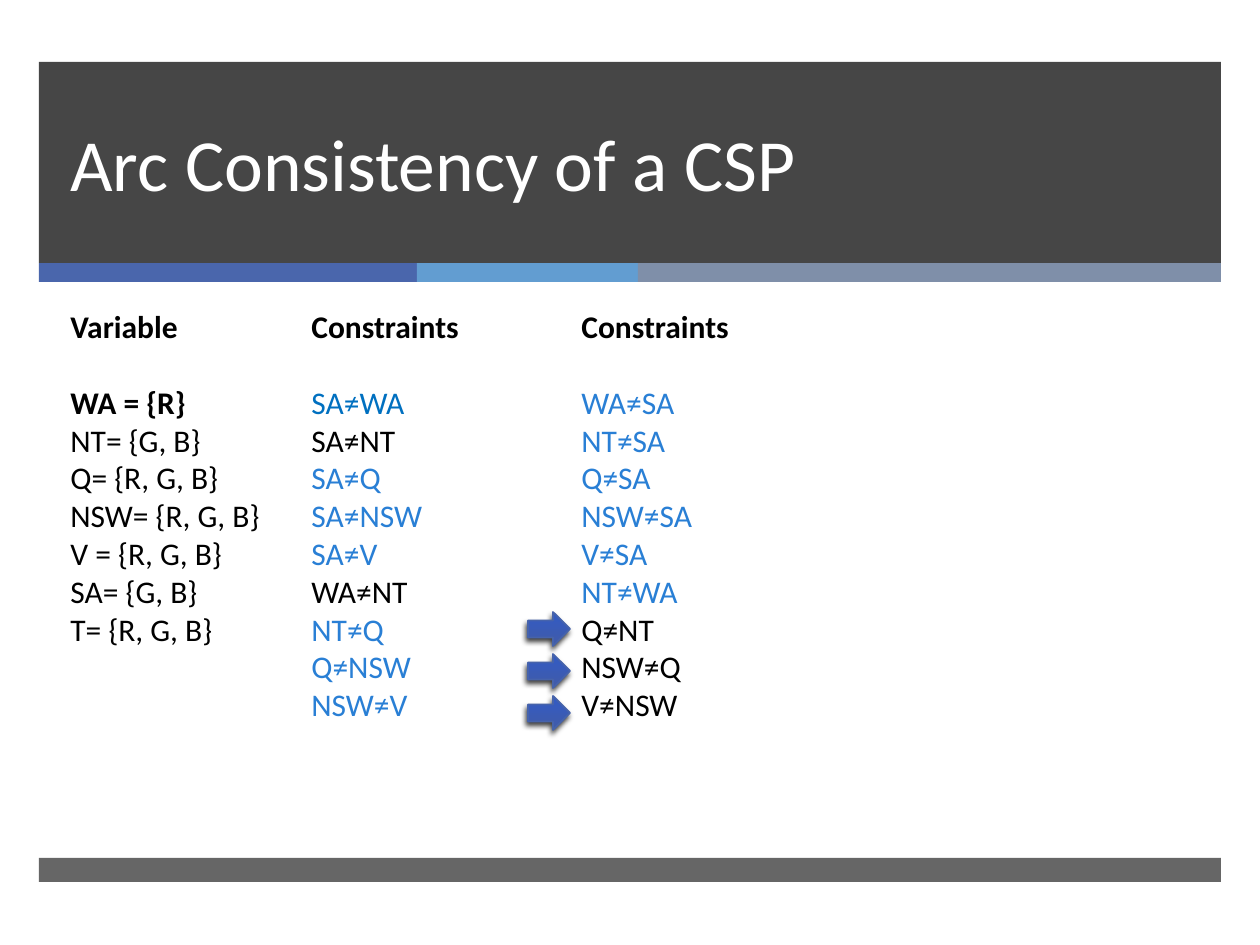
from lxml.etree import SubElement
from pptx import Presentation
from pptx.dml.color import RGBColor
from pptx.enum.shapes import MSO_SHAPE as Shape
from pptx.enum.text import MSO_ANCHOR as Anchor, MSO_AUTO_SIZE as AutoSize
from pptx.oxml.ns import qn
from pptx.util import Pt

PX = 914400 / 126
FONT = "Calibri"
BLACK = RGBColor(0x00, 0x00, 0x00)
WHITE = RGBColor(0xFF, 0xFF, 0xFF)
CHARCOAL = RGBColor(0x26, 0x26, 0x26)
INDIGO = RGBColor(0x4A, 0x66, 0xAC)
SKY = RGBColor(0x62, 0x9D, 0xD1)
SLATE = RGBColor(0x7F, 0x8F, 0xA9)
FIRST_BLUE = RGBColor(0x00, 0x70, 0xC0)
BLUE = RGBColor(0x29, 0x7F, 0xD5)
ARROW_START = RGBColor(0x41, 0x5B, 0xA9)
ARROW_END = RGBColor(0x32, 0x5B, 0xC4)
ARROW_LINE = RGBColor(0x46, 0x63, 0xAB)

VARIABLES = ["WA = {R}", "NT= {G, B}", "Q= {R, G, B}", "NSW= {R, G, B}",
             "V = {R, G, B}", "SA= {G, B}", "T= {R, G, B}"]
LEFT_CONSTRAINTS = ["SA≠WA", "SA≠NT", "SA≠Q", "SA≠NSW", "SA≠V",
                    "WA≠NT", "NT≠Q", "Q≠NSW", "NSW≠V"]
RIGHT_CONSTRAINTS = ["WA≠SA", "NT≠SA", "Q≠SA", "NSW≠SA", "V≠SA",
                     "NT≠WA", "Q≠NT", "NSW≠Q", "V≠NSW"]


def emu(*lengths):
    return [round(length * PX) for length in lengths]


def add_bar(slide, box, color, opacity=100):
    bar = slide.shapes.add_shape(Shape.RECTANGLE, *emu(*box))
    bar.shadow.inherit = False
    bar.fill.solid()
    bar.fill.fore_color.rgb = color
    bar.line.fill.background()
    if opacity < 100:
        srgb = bar._element.spPr.find(qn("a:solidFill"))[0]
        SubElement(srgb, qn("a:alpha"), val=str(opacity * 1000))


def add_header(slide, left, top, width, height):
    stripe_height = 19
    panel_height = height - stripe_height
    add_bar(slide, (left, top, width, panel_height), CHARCOAL, 85)
    stripe_left = left
    for stripe_width, color in ((378, INDIGO), (221, SKY), (width - 599, SLATE)):
        add_bar(slide, (stripe_left, top + panel_height, stripe_width, stripe_height), color)
        stripe_left += stripe_width

    title = slide.shapes.add_textbox(*emu(left + 19, top, 1076, 150))
    frame = title.text_frame
    frame.word_wrap = True
    frame.vertical_anchor = Anchor.BOTTOM
    paragraph = frame.paragraphs[0]
    paragraph.text = "Arc Consistency of a CSP"
    paragraph.line_spacing = Pt(46)
    paragraph.font.name = FONT
    paragraph.font.size = Pt(42)
    paragraph.font.color.rgb = WHITE


def add_column(slide, box, heading, entries, colors, bold_entries=()):
    frame = slide.shapes.add_textbox(*emu(*box)).text_frame
    frame.word_wrap = True
    frame.auto_size = AutoSize.SHAPE_TO_FIT_TEXT
    lines = [(heading, BLACK, True)]
    lines += [(entry, color, entry in bold_entries) for entry, color in zip(entries, colors)]
    for index, (text, color, bold) in enumerate(lines):
        paragraph = frame.add_paragraph() if index else frame.paragraphs[0]
        paragraph.text = text
        paragraph.font.name = FONT
        paragraph.font.size = Pt(18)
        paragraph.font.bold = bold
        paragraph.font.color.rgb = color
    frame.paragraphs[0].space_after = Pt(21.6)


def add_columns(slide, left, top):
    width = 270
    left_colors = [FIRST_BLUE, BLACK, BLUE, BLUE, BLUE, BLACK, BLUE, BLUE, BLUE]
    right_colors = [BLUE] * 6 + [BLACK] * 3
    add_column(slide, (left, top, width, 394), "Variable",
               VARIABLES, [BLACK] * len(VARIABLES), VARIABLES[:1])
    add_column(slide, (left + 241, top, width, 471), "Constraints",
               LEFT_CONSTRAINTS, left_colors)
    add_column(slide, (left + 511, top, width, 471), "Constraints",
               RIGHT_CONSTRAINTS, right_colors)


def add_arrow(slide, left, top, width, height):
    arrow = slide.shapes.add_shape(Shape.RIGHT_ARROW, *emu(left, top, width, height))
    arrow.fill.gradient()
    arrow.fill.gradient_angle = 90
    for stop, color in zip(arrow.fill.gradient_stops, (ARROW_START, ARROW_END)):
        stop.color.rgb = color
    arrow.line.color.rgb = ARROW_LINE
    arrow.line.width = Pt(1)
    arrow.shadow.inherit = False
    effects = arrow._element.spPr.find(qn("a:effectLst"))
    shadow = SubElement(effects, qn("a:outerShdw"), blurRad=str(Pt(3)), dist=str(Pt(2)),
                        dir=str(110 * 60000), rotWithShape="0")
    shadow_color = SubElement(shadow, qn("a:srgbClr"), val=str(BLACK))
    SubElement(shadow_color, qn("a:alpha"), val="75000")


def add_arrows(slide, left, top):
    for index in range(3):
        add_arrow(slide, left, top + index * 42, 42, 34)


def main():
    presentation = Presentation()
    presentation.slide_width, presentation.slide_height = emu(1260, 945)
    slide = presentation.slides.add_slide(presentation.slide_layouts[6])
    add_header(slide, 39, 62, 1182, 220)
    add_bar(slide, (39, 858, 1182, 24), CHARCOAL, 70)
    add_columns(slide, 58, 301)
    add_arrows(slide, 528, 612)
    presentation.save("out.pptx")


if __name__ == "__main__":
    main()
